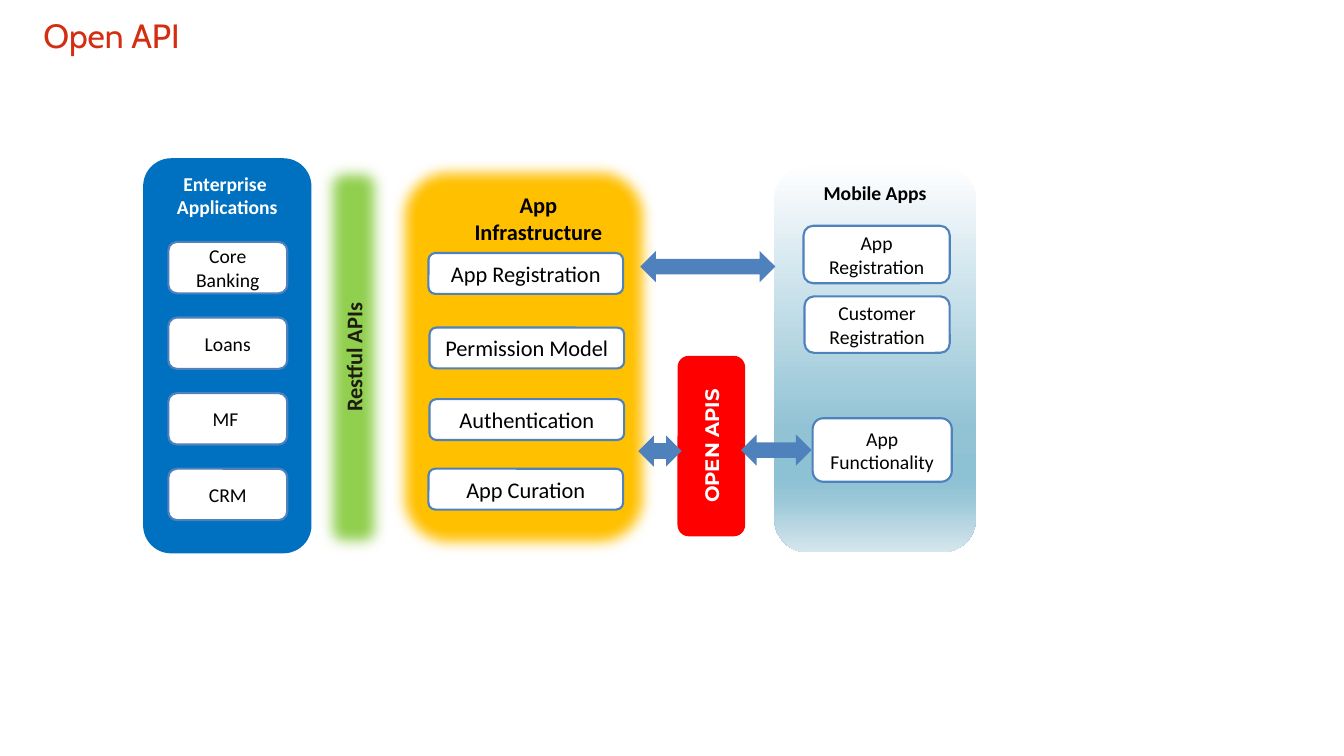
from dataclasses import dataclass

from lxml.etree import SubElement
from pptx import Presentation
from pptx.dml.color import RGBColor
from pptx.enum.shapes import MSO_SHAPE as Shape
from pptx.enum.text import MSO_ANCHOR as Anchor, PP_ALIGN as Align
from pptx.oxml.ns import qn
from pptx.util import Inches, Pt

SLIDE_WIDTH, SLIDE_HEIGHT = Inches(13.33), Inches(7.5)


@dataclass(frozen=True)
class Theme:
    """Colours, fonts and type sizes of the slide."""
    title: str = "D42E12"
    enterprise: str = "0070C0"
    infrastructure: str = "FFC000"
    rest: str = "92D050"
    open_apis: str = "FF0000"
    accent: str = "4F81BD"
    white: str = "FFFFFF"
    black: str = "000000"
    dark: str = "1E1C11"
    mobile: tuple = ((0, "FEFEFF"), (68, "92C3D5"), (81, "8DC1D4"),
                     (86, "9AC7D7"), (100, "D6E6ED"))
    title_font: str = "Cabin"
    body_font: str = "Calibri"
    strong_font: str = "Montserrat"
    title_size: int = 24
    large: int = 16
    small: int = 14


THEME = Theme()


def area(left, top, width, height):
    """Turn percentages of the slide's size into lengths."""
    return (int(SLIDE_WIDTH * left / 100), int(SLIDE_HEIGHT * top / 100),
            int(SLIDE_WIDTH * width / 100), int(SLIDE_HEIGHT * height / 100))


def write(shape, text, size=THEME.small, color=THEME.black, font=THEME.body_font,
          bold=False, align=Align.CENTER, anchor=Anchor.MIDDLE, upward=False):
    """Fill a shape with formatted text, one paragraph a line."""
    frame = shape.text_frame
    frame.word_wrap = True
    frame.vertical_anchor = anchor
    if upward:
        frame._txBody.bodyPr.set("vert", "vert270")
    frame.text = text
    for para in frame.paragraphs:
        para.alignment = align
        for span in para.runs:
            span.font.name = font
            span.font.size = Pt(size)
            span.font.bold = bold
            span.font.color.rgb = RGBColor.from_string(color)


def add_box(page, place, fill, line=None, kind=Shape.ROUNDED_RECTANGLE):
    """Add a flat preset shape with a solid fill."""
    box = page.shapes.add_shape(kind, *area(*place))
    box.shadow.inherit = False
    box.fill.solid()
    box.fill.fore_color.rgb = RGBColor.from_string(fill)
    if line:
        box.line.color.rgb = RGBColor.from_string(line)
        box.line.width = Pt(1.5)
    else:
        box.line.fill.background()
    return box


def add_button(page, place, text, size=THEME.small):
    """Add a white outlined box with a label."""
    write(add_box(page, place, THEME.white, THEME.accent), text, size=size)


def add_arrow(page, left, top, width):
    """Add a two-way block arrow."""
    add_box(page, (left, top, width, 4.13), THEME.accent, kind=Shape.LEFT_RIGHT_ARROW)


def soften(box):
    """Give a box soft edges."""
    effects = box._element.spPr.find(qn("a:effectLst"))
    SubElement(effects, qn("a:softEdge"), rad=str(Pt(10)))


def shade(box, stops):
    """Fill a box with a top-to-bottom gradient."""
    box.fill.gradient()
    gradient = box._element.spPr.find(qn("a:gradFill"))
    stop_list = gradient.find(qn("a:gsLst"))
    for stop in list(stop_list):
        stop_list.remove(stop)
    for percent, color in stops:
        stop = SubElement(stop_list, qn("a:gs"), pos=str(percent * 1000))
        SubElement(stop, qn("a:srgbClr"), val=color)
    gradient.find(qn("a:lin")).set("ang", "5400000")


def add_title(page, text):
    """Place and format the slide title."""
    title = page.shapes.title
    title.left, title.top, title.width, title.height = area(2.48, 0.8, 83.35, 7.73)
    write(title, text, size=THEME.title_size, color=THEME.title,
          font=THEME.title_font, align=Align.LEFT)


def add_enterprise(page):
    """Draw the enterprise applications column."""
    panel = add_box(page, (10.65, 20.93, 12.53, 52.27), THEME.enterprise)
    write(panel, "Enterprise \nApplications", color=THEME.white, bold=True,
          anchor=Anchor.TOP)
    for row, label in enumerate(("Core Banking", "Loans", "MF ", "CRM")):
        add_button(page, (12.53, 32 + 10 * row, 8.85, 6.8), label)


def add_infrastructure(page):
    """Draw the app infrastructure column."""
    soften(add_box(page, (29.11, 21.07, 19.65, 52.27), THEME.infrastructure))
    heading = page.shapes.add_textbox(*area(33.76, 24.67, 12.6, 8.53))
    write(heading, "App Infrastructure", size=THEME.large, bold=True, anchor=Anchor.TOP)
    for left, top, label in ((31.88, 33.47, "App Registration"),
                             (31.96, 43.33, "Permission Model"),
                             (31.96, 52.8, "Authentication"),
                             (31.88, 62, "App Curation")):
        add_button(page, (left, top, 14.48, 5.4), label, size=THEME.large)


def add_mobile(page):
    """Draw the mobile apps column."""
    panel = add_box(page, (57.61, 22, 15, 51.07), THEME.white)
    shade(panel, THEME.mobile)
    write(panel, "Mobile Apps", bold=True, anchor=Anchor.TOP)
    add_button(page, (59.79, 29.87, 10.88, 7.6), "App Registration")
    add_button(page, (59.86, 39.2, 10.8, 7.47), "Customer Registration")
    add_button(page, (60.47, 55.33, 10.35, 8.4), "App Functionality")


def main():
    """Build and save the deck."""
    deck = Presentation()
    deck.slide_width, deck.slide_height = SLIDE_WIDTH, SLIDE_HEIGHT
    page = deck.slides.add_slide(deck.slide_layouts[5])
    add_title(page, "Open API")
    add_enterprise(page)
    open_bar = add_box(page, (50.41, 47.07, 5.03, 23.87), THEME.open_apis)
    write(open_bar, "OPEN APIS", color=THEME.white, font=THEME.strong_font,
          bold=True, upward=True)
    add_infrastructure(page)
    add_mobile(page)
    for left, top, width in ((47.64, 33.2, 10.05), (55.14, 57.47, 5.25),
                             (47.49, 57.6, 3.23)):
        add_arrow(page, left, top, width)
    rest_bar = add_box(page, (23.78, 21.33, 5.03, 51.87), THEME.rest)
    soften(rest_bar)
    write(rest_bar, "Restful APIs", size=THEME.large, color=THEME.dark,
          bold=True, upward=True)
    deck.save("out.pptx")


if __name__ == "__main__":
    main()
